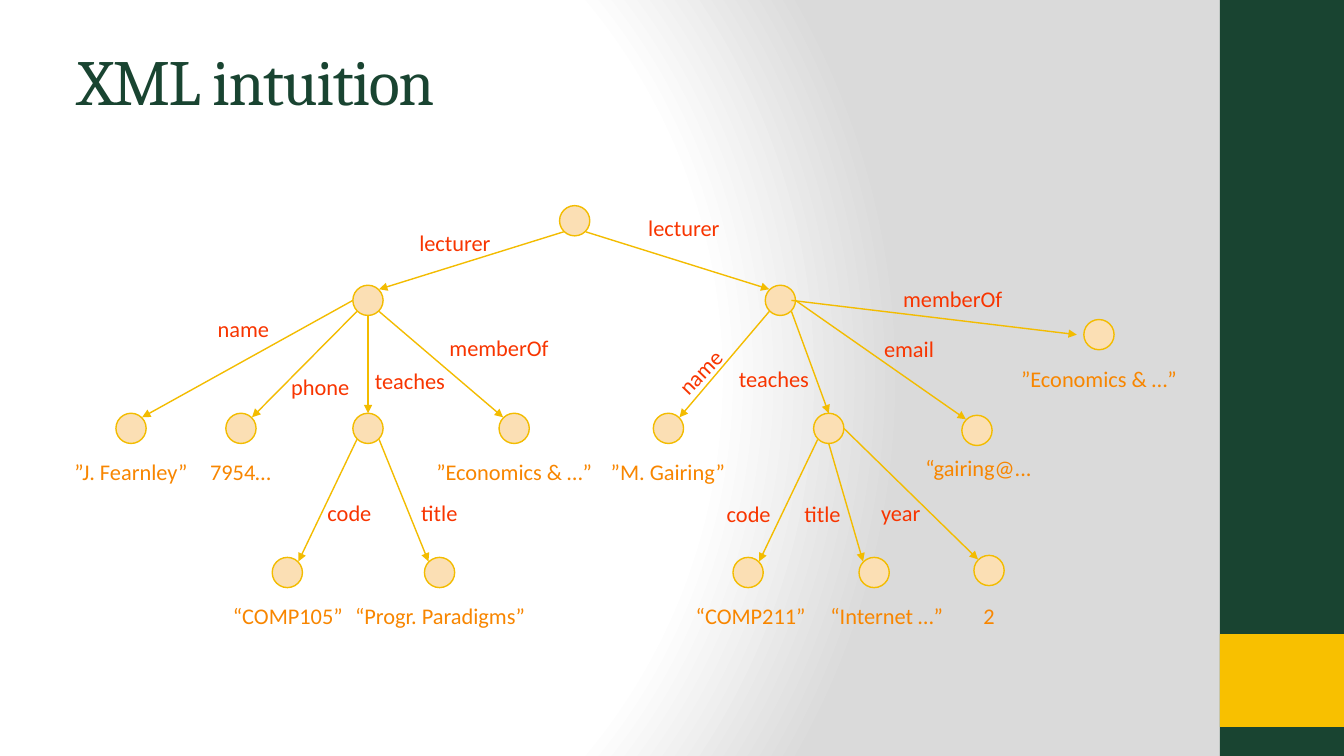
from pptx import Presentation
from pptx.dml.color import RGBColor
from pptx.enum.shapes import MSO_CONNECTOR, MSO_SHAPE
from pptx.enum.text import MSO_ANCHOR, MSO_AUTO_SIZE, PP_ALIGN
from pptx.oxml import parse_xml
from pptx.oxml.ns import nsdecls
from pptx.util import Inches, Pt
from lxml.etree import SubElement
from pptx.oxml.ns import qn

COLORS = {
    "white": "FFFFFF", "grey": "DADADA", "green": "194431", "yellow": "F8C000",
    "node": "FBDFB4", "line": "F3BC00", "value": "F88600", "label": "F83500",
}
RADIUS = 0.15
DIAGONAL = 0.11
SITES = {
    "left": (-RADIUS, 0), "right": (RADIUS, 0), "top": (0, -RADIUS), "bottom": (0, RADIUS),
    "top left": (-DIAGONAL, -DIAGONAL), "top right": (DIAGONAL, -DIAGONAL),
    "bottom left": (-DIAGONAL, DIAGONAL), "bottom right": (DIAGONAL, DIAGONAL),
    "inside right": (DIAGONAL, 0), "before left": (-0.22, 0),
}
NODES = {
    "root": (5.1, 0.19), "fearnley": (3.05, 0.98), "gairing": (7.14, 0.98),
    "name 1": (0.7, 2.25), "phone": (1.79, 2.25), "course 1": (3.05, 2.25),
    "member 1": (4.5, 2.25), "name 2": (6.03, 2.25), "course 2": (7.62, 2.25),
    "email": (9.09, 2.27), "member 2": (10.3, 1.32),
    "code 1": (2.25, 3.68), "title 1": (3.76, 3.68),
    "code 2": (6.82, 3.68), "title 2": (8.07, 3.68), "year": (9.21, 3.66),
}
VALUES = [
    ("”J. Fearnley”", 0.03, 2.5, 1.34), ("7954…", 1.37, 2.5, 0.83),
    ("”Economics & …”", 3.62, 2.5, 1.76), ("”M. Gairing”", 5.35, 2.5, 1.35),
    ("“gairing@...", 8.47, 2.46, 1.27), ("”Economics & …”", 9.42, 1.57, 1.76),
    ("“COMP105”", 1.6, 3.92, 1.31), ("“Progr. Paradigms”", 2.81, 3.92, 1.91),
    ("“COMP211”", 6.19, 3.92, 1.31), ("“Internet …”", 7.53, 3.92, 1.33),
    ("2", 9.05, 3.92, 0.32),
]
EDGES = [
    ("root", "bottom left", "fearnley", "top right", "lecturer", 3.46, 0.22),
    ("root", "bottom right", "gairing", "top left", "lecturer", 5.73, 0.08),
    ("fearnley", "left", "name 1", "top right", "name", 1.46, 1.08),
    ("fearnley", "bottom left", "phone", "top right", "phone", 2.19, 1.65),
    ("fearnley", "bottom", "course 1", "top", "teaches", 3.02, 1.59),
    ("fearnley", "bottom right", "member 1", "top left", "memberOf", 3.76, 1.27),
    ("gairing", "bottom left", "name 2", "top right", "name", 5.99, 1.5),
    ("gairing", "bottom right", "course 2", "top", "teaches", 6.63, 1.57),
    ("gairing", "right", "email", "top left", "email", 8.07, 1.28),
    ("gairing", "inside right", "member 2", "before left", "memberOf", 8.26, 0.78),
    ("course 1", "bottom left", "code 1", "top right", "code", 2.55, 2.9),
    ("course 1", "bottom right", "title 1", "top left", "title", 3.48, 2.9),
    ("course 2", "bottom left", "code 2", "top right", "code", 6.51, 2.91),
    ("course 2", "bottom", "title 2", "top left", "title", 7.28, 2.91),
    ("course 2", "right", "year", "top left", "year", 8.04, 2.9),
]
LABEL_WIDTHS = {
    "lecturer": 0.92, "name": 0.72, "phone": 0.79, "teaches": 0.91, "memberOf": 1.2,
    "email": 0.7, "code": 0.64, "title": 0.57, "year": 0.6,
}


def add_text(page, text, left, top, width, height=0.37, *, color, size=16, font="Calibri",
             align=PP_ALIGN.LEFT, wrap=False, rotation=0, spacing=None):
    """Add one line of formatted text."""
    box = page.shapes.add_textbox(Inches(left), Inches(top), Inches(width), Inches(height))
    box.rotation = rotation
    frame = box.text_frame
    frame.word_wrap = wrap
    frame.auto_size = MSO_AUTO_SIZE.NONE if wrap else MSO_AUTO_SIZE.SHAPE_TO_FIT_TEXT
    frame.vertical_anchor = MSO_ANCHOR.TOP
    para = frame.paragraphs[0]
    para.alignment = align
    span = para.add_run()
    span.text = text
    span.font.name = font
    span.font.size = Pt(size)
    span.font.color.rgb = RGBColor.from_string(COLORS[color])
    if spacing is not None:
        span._r.get_or_add_rPr().set("spc", str(spacing))


def add_filled(page, kind, left, top, width, height, fill, line=None):
    """Add a preset shape with a flat fill and an optional outline."""
    shape = page.shapes.add_shape(kind, Inches(left), Inches(top), Inches(width), Inches(height))
    shape.shadow.inherit = False
    shape.fill.solid()
    shape.fill.fore_color.rgb = RGBColor.from_string(COLORS[fill])
    if line:
        shape.line.color.rgb = RGBColor.from_string(COLORS[line])
        shape.line.width = Pt(1)
    else:
        shape.line.fill.background()


def add_arrow(page, start, end):
    """Add a thin arrow between two points."""
    arrow = page.shapes.add_connector(
        MSO_CONNECTOR.STRAIGHT, *(Inches(value) for value in (*start, *end)))
    arrow.line.color.rgb = RGBColor.from_string(COLORS["line"])
    arrow.line.width = Pt(1)
    SubElement(arrow.line._get_or_add_ln(), qn("a:tailEnd"), type="triangle")
    SubElement(arrow._element.spPr, qn("a:effectLst"))


def set_background(page):
    """Fill the page with the radial white to grey gradient."""
    stops = "".join(
        f'<a:gs pos="{position * 1000}"><a:srgbClr val="{COLORS[color]}"/></a:gs>'
        for position, color in ((0, "white"), (75, "white"), (100, "grey")))
    page.element.cSld.insert(0, parse_xml(
        f'<p:bg {nsdecls("p", "a")}><p:bgPr><a:gradFill rotWithShape="1">'
        f'<a:gsLst>{stops}</a:gsLst><a:path path="circle">'
        '<a:fillToRect l="20000" t="50000" r="100000" b="50000"/></a:path></a:gradFill>'
        '<a:effectLst/></p:bgPr></p:bg>'))


def add_side_band(page, left, top, width, height):
    """Draw the green band with its yellow block."""
    add_filled(page, MSO_SHAPE.RECTANGLE, left, top, width, height, "green")
    add_filled(page, MSO_SHAPE.RECTANGLE, left, top + 6.29, width, 0.92, "yellow")


def add_title(page, left, top, width, height):
    """Place the page title."""
    add_text(page, "XML intuition", left, top, width, height, color="green", size=46,
             font="Cambria", wrap=True, spacing=-100)


def add_tree(page, left, top):
    """Draw the labelled tree from its top left corner."""
    for x, y in NODES.values():
        add_filled(page, MSO_SHAPE.OVAL, left + x - RADIUS, top + y - RADIUS,
                   2 * RADIUS, 2 * RADIUS, "node", "line")

    def site_point(node, site):
        """Return where an edge meets a node."""
        (x, y), (across, down) = NODES[node], SITES[site]
        return left + x + across, top + y + down

    for parent, exit_site, child, entry_site, label, x, y in EDGES:
        add_arrow(page, site_point(parent, exit_site), site_point(child, entry_site))
        add_text(page, label, left + x, top + y, LABEL_WIDTHS[label], color="label",
                 rotation=314.1 if child == "name 2" else 0)
    for text, x, y, width in VALUES:
        add_text(page, text, left + x, top + y, width, color="value", align=PP_ALIGN.CENTER)


def main():
    """Build and save the deck."""
    deck = Presentation()
    deck.slide_width = Inches(13.33)
    deck.slide_height = Inches(7.5)
    page = deck.slides.add_slide(deck.slide_layouts[6])
    set_background(page)
    add_side_band(page, 12.1, 0, 1.23, 7.5)
    add_title(page, 0.67, 0.36, 11.11, 1.25)
    add_tree(page, 0.6, 2)
    deck.save("out.pptx")


if __name__ == "__main__":
    main()
